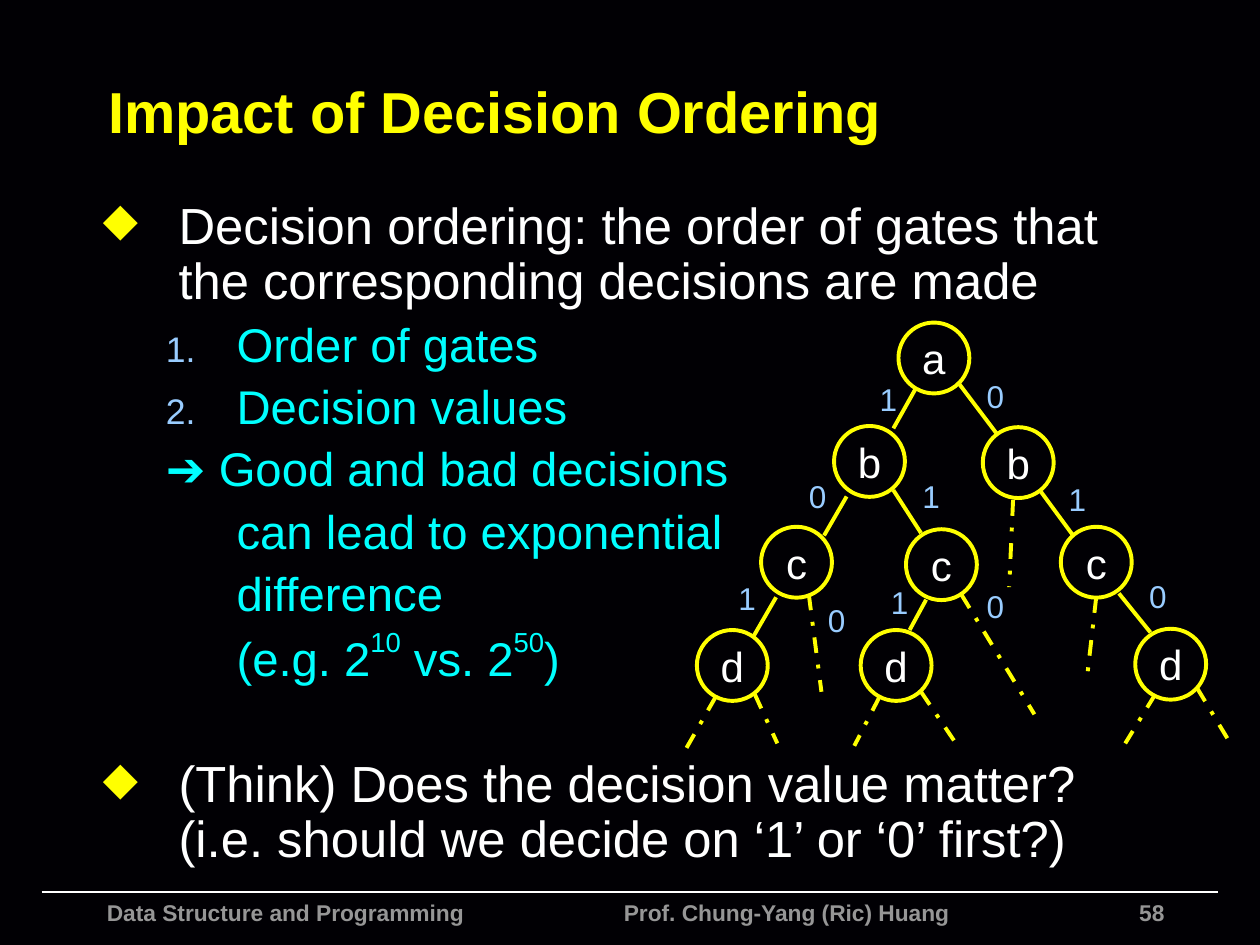
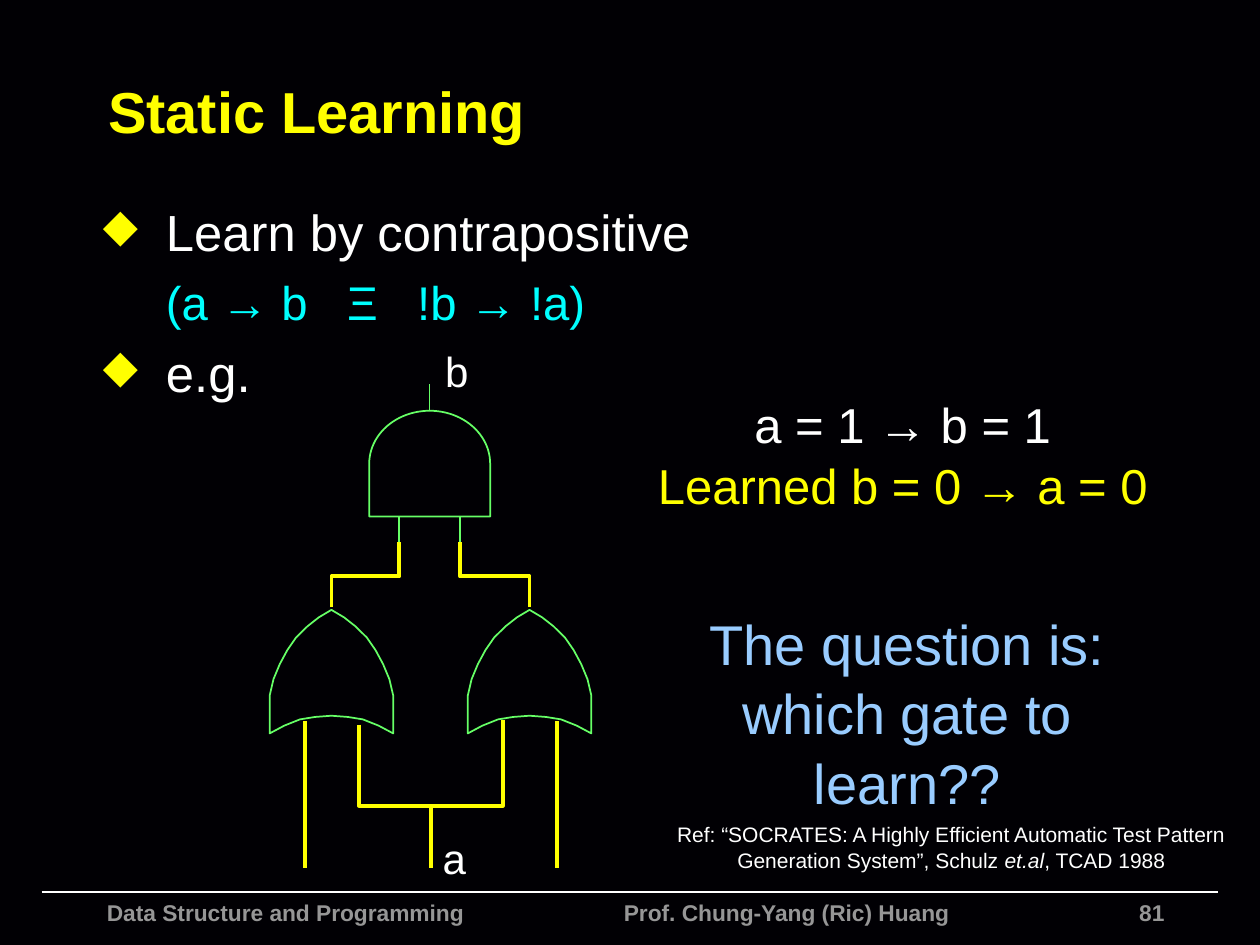
from lxml import etree
from pptx import Presentation
from pptx.dml.color import RGBColor
from pptx.enum.dml import MSO_LINE
from pptx.enum.shapes import MSO_CONNECTOR, MSO_SHAPE as Shape
from pptx.enum.text import MSO_ANCHOR as Anchor, PP_ALIGN as Align
from pptx.oxml.ns import qn
from pptx.util import Pt

FONT = "Arial"
BLACK, WHITE, GREY = "010004", "FFFFFF", "969696"
YELLOW, CYAN, BLUE, GREEN = "FFFF00", "00FFFF", "99CCFF", "66FF66"
THICK, THIN = 2.25, 1
NODE = 40.5

# Right half of an OR gate, from its tip down to the middle of its base
OR_HALF = [(0, 0), (7.2, 4.3), (13.7, 9.4), (20.2, 15.8), (25.2, 23),
           (29.5, 31), (33.1, 39.6), (35.3, 49), (35.3, 70.6),
           (27, 66.2), (18, 62.6), (9.4, 61.2), (0, 60.5)]

NODES = [("a", 513.4, 184.3), ("b", 476.6, 243.4), ("c", 434.9, 301),
         ("d", 398.2, 360), ("c", 517.7, 302.4), ("d", 491.8, 360),
         ("b", 561.6, 244.1), ("c", 606.2, 301), ("d", 648.7, 359.3)]
EDGES = [(523.4, 221.8, 510.5, 244.8), (483.8, 283.7, 470.9, 306),
         (443.5, 341.3, 430.6, 363.6), (547.2, 218.2, 569.5, 247.7),
         (510.5, 280.1, 526.3, 304.6), (529.2, 342.7, 519.8, 360),
         (594.7, 280.8, 612.7, 305.3), (639.4, 339.1, 657.4, 361.4)]
OPEN_EDGES = [(462.2, 339.8, 469.4, 395.3), (409, 398.2, 391.7, 428.4),
              (431.3, 396.7, 444.2, 424.8), (502.6, 398.2, 488.2, 426.2),
              (526.3, 395.3, 547.2, 426.2), (549.4, 339.8, 591.1, 408.2),
              (578.9, 285.8, 576.7, 335.5), (626.4, 341.3, 621.4, 385.2),
              (660.2, 396.7, 643, 424.8), (684, 393.1, 702.7, 424.1)]
VALUES = {"1": [(499, 213.8), (523.4, 269.3), (418.3, 327.6),
                (607, 270.7), (505.4, 329.8)],
          "0": [(560.2, 211.7), (458.6, 269.3), (469.4, 339.8),
                (653, 326.2), (560.2, 331.9)]}


def rgb(code):
    return RGBColor.from_string(code)


def style(run, size, color, bold=False):
    font = run.font
    font.name, font.size, font.bold = FONT, Pt(size), bold
    font.color.rgb = rgb(color)


def fit(frame, side, top, wrap):
    """Set the insets and wrapping of a text frame."""
    frame.margin_left = frame.margin_right = Pt(side)
    frame.margin_top, frame.margin_bottom = Pt(top), Pt(3.6)
    frame.word_wrap = wrap


def fill_text(frame, lines, size, color, align, bold=False, gap=0):
    frame.text = "\n".join(lines)
    for i, para in enumerate(frame.paragraphs):
        para.alignment = align
        if i and gap:
            para.space_before = Pt(gap)
        for run in para.runs:
            style(run, size, color, bold)


def label(slide, box, lines, size, color, align=Align.CENTER, bold=False,
          side=3.6, wrap=False, gap=0):
    frame = slide.shapes.add_textbox(*map(Pt, box)).text_frame
    fit(frame, side, 3.6, wrap)
    fill_text(frame, lines, size, color, align, bold, gap)
    return frame


def outline(shape, color, width):
    shape.shadow.inherit = False
    shape.fill.background()
    shape.line.color.rgb = rgb(color)
    shape.line.width = Pt(width)


def line(slide, ends, color=YELLOW, width=THICK, dash=None):
    link = slide.shapes.add_connector(MSO_CONNECTOR.STRAIGHT, *map(Pt, ends))
    link.line.color.rgb = rgb(color)
    link.line.width = Pt(width)
    if dash:
        link.line.dash_style = dash
    etree.SubElement(link._element.spPr, qn("a:effectLst"))


def trace(slide, points, color=YELLOW, width=THICK, close=False):
    """Draw an unfilled outline through the points."""
    first, *rest = [(Pt(x), Pt(y)) for x, y in points]
    pen = slide.shapes.build_freeform(*first)
    pen.add_line_segments(rest, close=close)
    outline(pen.convert_to_shape(), color, width)


def or_gate(slide, x, y):
    left = [(-dx, dy) for dx, dy in OR_HALF[-2:0:-1]]
    trace(slide, [(x + dx, y + dy) for dx, dy in OR_HALF + left],
          GREEN, THIN, True)


def node(slide, name, x, y):
    ball = slide.shapes.add_shape(Shape.OVAL, *map(Pt, (x, y, NODE, NODE)))
    outline(ball, YELLOW, THICK)
    fit(ball.text_frame, 3.6, 3.6, False)
    ball.text_frame.vertical_anchor = Anchor.MIDDLE
    fill_text(ball.text_frame, [name], 24, WHITE, Align.CENTER)


def indent(para, left, hang, mark=None):
    """Indent a paragraph; mark is a bullet, or "1." for numbering."""
    props = para._p.get_or_add_pPr()
    props.set("marL", str(Pt(left)))
    props.set("indent", str(-Pt(hang)))
    if not mark:
        etree.SubElement(props, qn("a:buNone"))
        return
    number = mark == "1."
    tint = etree.SubElement(props, qn("a:buClr"))
    etree.SubElement(tint, qn("a:srgbClr"), val=BLUE if number else YELLOW)
    etree.SubElement(props, qn("a:buSzPct"), val="75000" if number else "90000")
    if number:
        etree.SubElement(props, qn("a:buAutoNum"), type="arabicPeriod")
    else:
        etree.SubElement(props, qn("a:buChar"), char=mark)


def body(slide, height, items, pitch=None):
    """Add paragraphs given as (runs, left, hang, mark, space before).

    A run is a text, or a text with one extra run property.
    """
    box = slide.shapes.add_textbox(*map(Pt, (51.8, 108, 612, height)))
    frame = box.text_frame
    fit(frame, 7.2, 6.6, True)
    for i, (runs, left, hang, mark, before) in enumerate(items):
        para = frame.add_paragraph() if i else frame.paragraphs[0]
        indent(para, left, hang, mark)
        if pitch:
            para.line_spacing = pitch
        if i:
            para.space_before = Pt(before)
        size, color = (29, WHITE) if mark == "◆" else (27, CYAN)
        for part in runs:
            text, *extra = (part,) if isinstance(part, str) else part
            run = para.add_run()
            run.text = text
            style(run, size, color)
            for key, value in extra:
                run._r.get_or_add_rPr().set(key, value)


def new_slide(deck, title, number):
    slide = deck.slides.add_slide(deck.slide_layouts[6])
    slide.background.fill.solid()
    slide.background.fill.fore_color.rgb = rgb(BLACK)
    line(slide, (23.8, 509.8, 696.2, 509.8), WHITE, THIN)
    for text, x, width, align in (
            ("Data Structure and Programming", 54, 280, Align.LEFT),
            ("Prof. Chung-Yang (Ric) Huang", 349.4, 226, Align.LEFT),
            (number, 612, 60.5, Align.RIGHT)):
        label(slide, (x, 509.8, width, 30), [text], 13, GREY, align,
              True, 7.2, True)
    head = label(slide, (54.7, 26.6, 636.5, 72.7), [title], 33, YELLOW,
                 Align.LEFT, True, 7.2, True)
    head.vertical_anchor = Anchor.MIDDLE
    return slide


def ordering(deck):
    slide = new_slide(deck, "Impact of Decision Ordering", "58")
    raised = ("baseline", "50000")
    top, step, more = (43.2, 43.2, "◆"), (76.3, 40.3, "1."), (76.3, 0, None)
    power = ["(e.g. 2", ("10", raised), " vs. 2", ("50", raised), ")"]
    body(slide, 399.6, [
        (["Decision ordering: the order of gates that the corresponding "
          "decisions are made"], *top, 0),
        (["Order of gates"], *step, 6.4),
        (["Decision values"], *step, 6.4),
        (["➔ Good and bad decisions"], 76.3, 40.3, None, 6.4),
        (["can lead to exponential"], *more, 6.4),
        (["difference"], *more, 6.4),
        (power, *more, 6.4),
        (["(Think) Does the decision value matter? (i.e. should we decide "
          "on ‘1’ or ‘0’ first?)"], *top, 41)], 0.9)
    for spot in NODES:
        node(slide, *spot)
    for ends in EDGES:
        line(slide, ends)
    for ends in OPEN_EDGES:
        line(slide, ends, dash=MSO_LINE.DASH_DOT)
    for value, spots in VALUES.items():
        for x, y in spots:
            label(slide, (x, y, 17.3, 28.8), [value], 18, BLUE)


def circuit(slide):
    for ends in ((228.2, 295.2, 228.2, 310.3), (262.8, 295.2, 262.8, 310.3),
                 (245.5, 219.6, 245.5, 234.7)):
        line(slide, ends, GREEN, THIN)
    gate = slide.shapes.add_shape(Shape.FLOWCHART_DELAY,
                                  *map(Pt, (215.3, 230.4, 60.5, 69.1)))
    gate.rotation = 270
    outline(gate, GREEN, THIN)
    for tip, pin in ((189.4, 228.2), (302.6, 262.8)):
        trace(slide, [(tip, 347), (tip, 329.4), (pin, 329.4), (pin, 309.6)])
        or_gate(slide, tip, 348.5)
    trace(slide, [(205.2, 414), (205.2, 460.4), (287.3, 460.4), (287.3, 411.5)])
    for x, y in ((246.2, 460.8), (174.2, 412.2), (318.2, 412.2)):
        line(slide, (x, y, x, 496))
    label(slide, (249.1, 472.3, 20.9, 36), ["a"], 24, WHITE)
    label(slide, (250.6, 193.7, 20.9, 36), ["b"], 24, WHITE)


def learning(deck):
    slide = new_slide(deck, "Static Learning", "81")
    wide = (" ", ("spc", "1500"))
    body(slide, 372.2, [
        (["Learn by contrapositive"], 36, 36, "◆", 0),
        (["(a → b", wide, "Ξ", wide, "!b → !a)"], 36, 0, None, 6.6),
        (["e.g."], 36, 36, "◆", 6.6)])
    circuit(slide)
    facts = label(slide, (372.2, 221.8, 287.3, 74.2),
                  ["a = 1 → b = 1", "Learned b = 0 → a = 0"], 28, WHITE, gap=1.5)
    facts.paragraphs[1].runs[0].font.color.rgb = rgb(YELLOW)
    label(slide, (362.9, 344.5, 311, 122),
          ["The question is:", "which gate to", "learn??"], 32, BLUE, gap=1.5)
    ref = label(slide, (380.9, 465.8, 325.4, 36),
                ["Ref: “SOCRATES: A Highly Efficient Automatic Test Pattern",
                 "Generation System”, Schulz "], 12, WHITE, gap=0.5)
    for text, slant in (("et.al", True), (", TCAD 1988", False)):
        run = ref.paragraphs[1].add_run()
        run.text = text
        style(run, 12, WHITE)
        run.font.italic = slant


def main():
    deck = Presentation()
    deck.slide_width, deck.slide_height = Pt(720), Pt(540)
    ordering(deck)
    learning(deck)
    deck.save("out.pptx")


if __name__ == "__main__":
    main()
